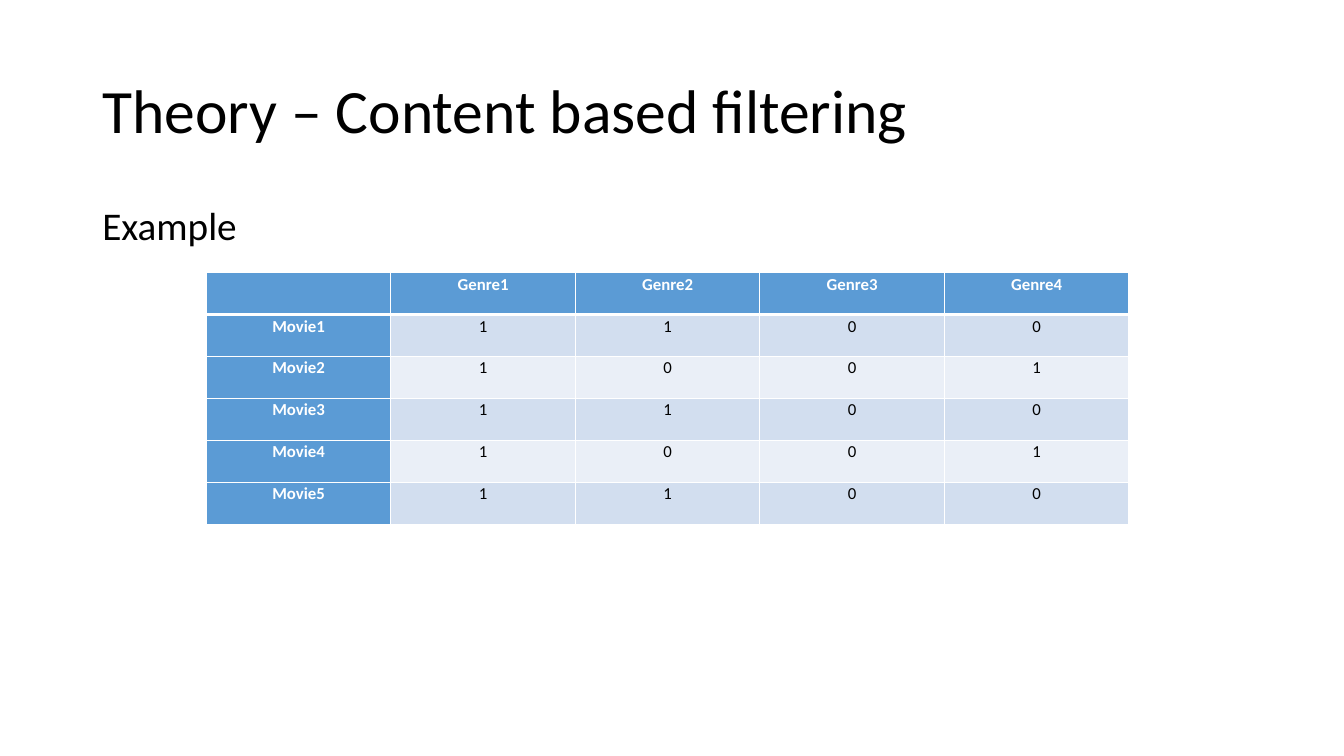
from lxml.etree import SubElement
from pptx import Presentation
from pptx.dml.color import RGBColor
from pptx.enum.text import MSO_ANCHOR, PP_ALIGN
from pptx.oxml.ns import qn
from pptx.util import Cm, Pt

BLACK, WHITE, BLUE = "000000", "FFFFFF", "5B9BD5"
BANDS = ("D2DEEF", "EAEFF7")
GENRES = ["Genre1", "Genre2", "Genre3", "Genre4"]
MOVIES = {
    "Movie1": [1, 1, 0, 0],
    "Movie2": [1, 0, 0, 1],
    "Movie3": [1, 1, 0, 0],
    "Movie4": [1, 0, 0, 1],
    "Movie5": [1, 1, 0, 0],
}


def color(hex_value):
    return RGBColor.from_string(hex_value)


def set_attributes(target, values):
    for name, value in values.items():
        setattr(target, name, value)


def write_text(frame, text, size, hex_color, bold=False, **paragraph_format):
    paragraph = frame.paragraphs[0]
    set_attributes(paragraph, paragraph_format)
    if text:
        run = paragraph.add_run()
        run.text = text
        set_attributes(run.font, {"name": "Calibri", "size": Pt(size), "bold": bold})
        run.font.color.rgb = color(hex_color)


def add_heading(slide, box, text, size, anchor, **paragraph_format):
    frame = slide.shapes.add_textbox(*map(Cm, box)).text_frame
    set_attributes(frame, {"word_wrap": True, "vertical_anchor": anchor})
    write_text(frame, text, size, BLACK, line_spacing=0.9, **paragraph_format)


def add_borders(cell, widths):
    properties = cell._tc.get_or_add_tcPr()
    for side, width in widths.items():
        line = SubElement(properties, qn(f"a:ln{side}"), w=str(Pt(width)))
        fill = SubElement(line, qn("a:solidFill"))
        SubElement(fill, qn("a:srgbClr"), val=WHITE)


def add_genre_table(slide, box):
    rows = [["", *GENRES]]
    rows += [[movie, *map(str, flags)] for movie, flags in MOVIES.items()]
    left, top, width, height = map(Cm, box)
    table = slide.shapes.add_table(
        len(rows), len(rows[0]), left, top, width, height
    ).table
    for row_index, row in enumerate(rows):
        for column_index, text in enumerate(row):
            cell = table.cell(row_index, column_index)
            is_header = row_index == 0 or column_index == 0
            set_attributes(cell, {
                "margin_left": Cm(0.18), "margin_right": Cm(0.18),
                "margin_top": 0, "margin_bottom": 0,
            })
            add_borders(cell, {
                "L": 1, "R": 1,
                "T": 3 if row_index == 1 else 1,
                "B": 3 if row_index == 0 else 1,
            })
            cell.fill.solid()
            cell.fill.fore_color.rgb = color(
                BLUE if is_header else BANDS[(row_index - 1) % 2]
            )
            write_text(
                cell.text_frame, text, 12, WHITE if is_header else BLACK,
                bold=is_header, alignment=PP_ALIGN.CENTER, line_spacing=1.07,
            )


def main():
    presentation = Presentation()
    set_attributes(presentation, {"slide_width": Cm(33.87), "slide_height": Cm(19.05)})
    slide = presentation.slides.add_slide(presentation.slide_layouts[6])
    add_heading(
        slide, (2.33, 1.02, 29.21, 3.68),
        "Theory – Content based filtering", 44, MSO_ANCHOR.MIDDLE,
    )
    add_heading(
        slide, (2.33, 5.08, 29.21, 12.09),
        "Example", 28, MSO_ANCHOR.TOP, space_before=Pt(10),
    )
    add_genre_table(slide, (5.2, 6.87, 23.25, 6.35))
    presentation.save("out.pptx")


if __name__ == "__main__":
    main()
